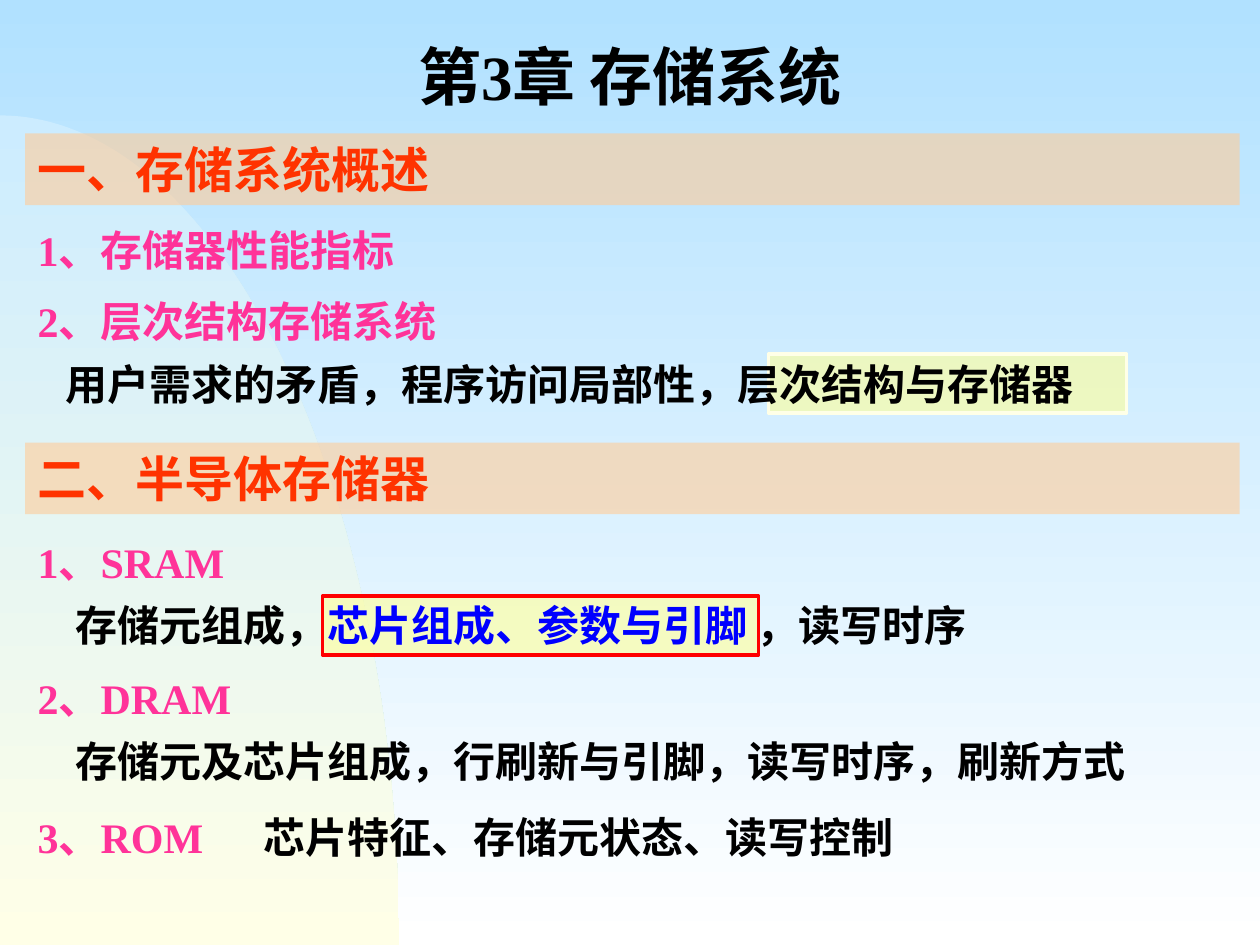
from dataclasses import dataclass
from math import cos, pi, sin
from typing import Optional

from lxml.etree import SubElement
from pptx import Presentation
from pptx.dml.color import RGBColor
from pptx.enum.shapes import MSO_SHAPE
from pptx.enum.text import MSO_ANCHOR, MSO_AUTO_SIZE, PP_ALIGN
from pptx.oxml.ns import qn
from pptx.util import Pt

INK = {
    "sky": "B1E1FF", "white": "FFFFFF", "ice": "CCECFF", "cream": "FFFFE7",
    "peach": "FFCC99", "lemon": "FFFF99", "black": "000000", "orange": "FF3300",
    "pink": "FF3399", "blue": "0000FF", "red": "FF0000",
}
FACE = "Times New Roman"
LEFT, WIDE = 14.4, 692


@dataclass
class Line:
    runs: list[tuple[str, str]]
    indent: float = 0
    tab: float = 0


@dataclass
class Text:
    top: float
    high: float
    lines: list[Line]
    size: float = 24
    space: Optional[float] = 1.25
    left: float = LEFT
    wide: float = WIDE
    align: PP_ALIGN = PP_ALIGN.LEFT


@dataclass
class Panel:
    left: float
    top: float
    wide: float
    high: float
    fill: str
    edge: Optional[str] = None


def rgb(name: str) -> RGBColor:
    return RGBColor.from_string(INK[name])


def fade(fill, start: str, end: str) -> None:
    fill.gradient()
    fill.gradient_angle = 270
    for stop, name, place in zip(fill.gradient_stops, (start, end), (0, 1)):
        stop.color.rgb = rgb(name)
        stop.position = place


def draw_curve(slide) -> None:
    steps, wide, high = 120, 228, 474
    arc = [(Pt(wide * sin(i * pi / 2 / steps)), Pt(540 - high * cos(i * pi / 2 / steps)))
           for i in range(steps + 1)]
    form = slide.shapes.build_freeform(*arc[0])
    form.add_line_segments(arc[1:] + [(Pt(0), Pt(540))], close=True)
    shape = form.convert_to_shape()
    shape.shadow.inherit = False
    fade(shape.fill, "ice", "cream")
    shape.line.fill.background()


def draw_panel(slide, panel: Panel):
    shape = slide.shapes.add_shape(
        MSO_SHAPE.RECTANGLE, Pt(panel.left), Pt(panel.top), Pt(panel.wide), Pt(panel.high))
    shape.shadow.inherit = False
    shape.fill.solid()
    shape.fill.fore_color.rgb = rgb(panel.fill)
    tint = shape._element.spPr.find(".//" + qn("a:srgbClr"))
    SubElement(tint, qn("a:alpha")).set("val", "60000")
    if panel.edge:
        shape.line.color.rgb = rgb(panel.edge)
        shape.line.width = Pt(2)
    else:
        shape.line.fill.background()
    return shape


def write(shape, text: Text) -> None:
    frame = shape.text_frame
    frame.word_wrap = True
    frame.auto_size = MSO_AUTO_SIZE.SHAPE_TO_FIT_TEXT
    frame.vertical_anchor = MSO_ANCHOR.TOP
    for i, line in enumerate(text.lines):
        para = frame.add_paragraph() if i else frame.paragraphs[0]
        para.alignment = text.align
        if text.space:
            para.line_spacing = text.space
        props = para._p.get_or_add_pPr()
        if line.indent:
            props.set("marL", str(Pt(line.indent)))
            props.set("indent", "0")
        if line.tab:
            stop = SubElement(SubElement(props, qn("a:tabLst")), qn("a:tab"))
            stop.set("pos", str(Pt(line.tab)))
            stop.set("algn", "l")
        font = para.font
        font.name, font.size, font.bold = FACE, Pt(text.size), True
        if len(line.runs) == 1:
            font.color.rgb = rgb(line.runs[0][1])
        for words, name in line.runs:
            run = para.add_run()
            run.text = words
            if len(line.runs) > 1:
                run.font.color.rgb = rgb(name)


def draw_text(slide, text: Text) -> None:
    write(slide.shapes.add_textbox(
        Pt(text.left), Pt(text.top), Pt(text.wide), Pt(text.high)), text)


def draw_head(slide, top: float, words: str) -> None:
    panel = Panel(LEFT, top, 694, 41, "peach")
    line = Line([(words, "orange")])
    write(draw_panel(slide, panel), Text(top, 41, [line], 28, None))


HEADS = [(76.3, "一、存储系统概述"), (252.9, "二、半导体存储器")]
PANELS = [
    Panel(439.2, 202.3, 204.5, 33.8, "lemon", "cream"),
    Panel(184.3, 340.6, 249.1, 33.8, "lemon", "red"),
]
TEXTS = [
    Text(18, 50.4, [Line([("第3章 存储系统", "black")])], 36, None, 66, 588, PP_ALIGN.CENTER),
    Text(117.4, 43.2, [Line([("1、存储器性能指标", "pink")])]),
    Text(158.4, 79.2, [
        Line([("2、层次结构存储系统", "pink")]),
        Line([("用户需求的矛盾，程序访问局部性，层次结构与存储器", "black")], 16),
    ]),
    Text(295.9, 79.2, [
        Line([("1、SRAM", "pink")]),
        Line([("存储元组成，", "black"), ("芯片组成、参数与引脚", "blue"),
              (" ，读写时序", "black")], 21.5),
    ]),
    Text(373.7, 79.2, [
        Line([("2、DRAM", "pink")]),
        Line([("存储元及芯片组成，行刷新与引脚，读写时序，刷新方式", "black")], 21.5),
    ]),
    Text(452.9, 43.2, [
        Line([("3、ROM\t", "pink"), ("芯片特征、存储元状态、读写控制", "black")], tab=129),
    ]),
]


def main() -> None:
    deck = Presentation()
    deck.slide_width, deck.slide_height = Pt(720), Pt(540)
    slide = deck.slides.add_slide(deck.slide_layouts[6])
    fade(slide.background.fill, "sky", "white")
    draw_curve(slide)
    for top, words in HEADS:
        draw_head(slide, top, words)
    for panel in PANELS:
        draw_panel(slide, panel)
    for text in TEXTS:
        draw_text(slide, text)
    deck.save("out.pptx")


if __name__ == "__main__":
    main()
